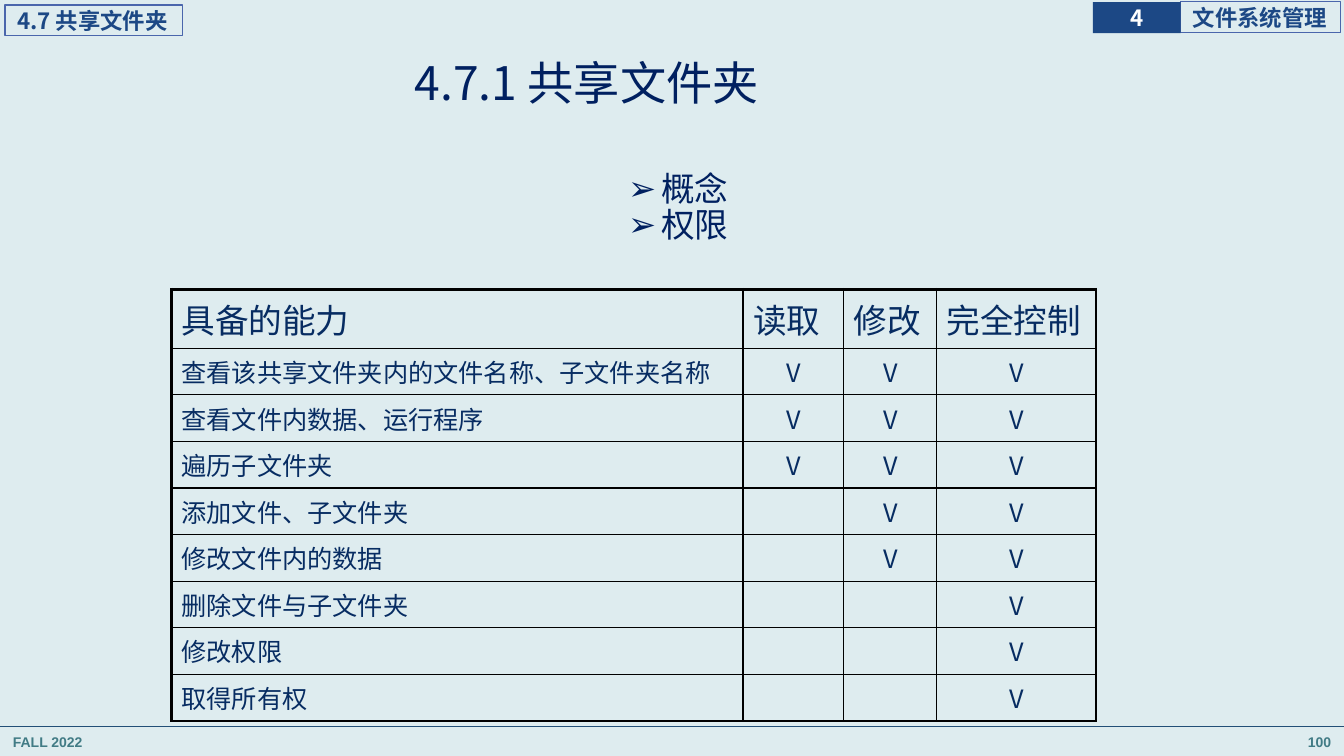
from dataclasses import dataclass

from lxml import etree
from pptx import Presentation
from pptx import util as u
from pptx.dml.color import RGBColor
from pptx.enum import shapes, text
from pptx.oxml.ns import qn


@dataclass(frozen=True)
class Theme:
    """Colours, fonts and type sizes of the slide."""
    backdrop: str = "DEECEF"
    heading: str = "002060"
    cell: str = "072C62"
    tag: str = "1C4885"
    tag_line: str = "4A66AC"
    footer: str = "417B85"
    rule: str = "234F77"
    grid: str = "000000"
    white: str = "FFFFFF"
    cjk: str = "Noto Sans CJK SC"
    latin: str = "Arial"
    title_size: float = 33
    large: float = 24
    body: float = 18
    small: float = 16
    tiny: float = 10


THEME = Theme()
ALIGN = text.PP_ALIGN
ANCHOR = text.MSO_ANCHOR
ABILITIES = [
    ("查看该共享文件夹内的文件名称、子文件夹名称", 3),
    ("查看文件内数据、运行程序", 3),
    ("遍历子文件夹", 3),
    ("添加文件、子文件夹", 2),
    ("修改文件内的数据", 2),
    ("删除文件与子文件夹", 1),
    ("修改权限", 1),
    ("取得所有权", 1),
]


def rgb(value):
    """Turn a hex string into a colour."""
    return RGBColor.from_string(value)


def write(frame, lines, size, color, font=THEME.cjk, bold=False, align=ALIGN.LEFT,
          anchor=ANCHOR.MIDDLE, insets=(0.1, 0.05, 0.1, 0.05), spacing=1.0,
          bullet=None, hanging=0, wrap=True):
    """Fill a text frame with formatted paragraphs."""
    frame.word_wrap = wrap
    frame.auto_size = text.MSO_AUTO_SIZE.NONE
    frame.vertical_anchor = anchor
    (frame.margin_left, frame.margin_top,
     frame.margin_right, frame.margin_bottom) = map(u.Inches, insets)
    for index, line in enumerate(lines):
        para = frame.add_paragraph() if index else frame.paragraphs[0]
        para.alignment = align
        para.line_spacing = spacing
        para.space_before = u.Pt(0)
        if bullet:
            props = para._p.get_or_add_pPr()
            props.set("marL", str(u.Inches(hanging)))
            props.set("indent", str(-u.Inches(hanging)))
            etree.SubElement(props, qn("a:buFont")).set("typeface", THEME.latin)
            etree.SubElement(props, qn("a:buChar")).set("char", bullet)
        span = para.add_run()
        span.text = line
        span.font.size = u.Pt(size)
        span.font.bold = bold
        span.font.color.rgb = rgb(color)
        span.font.name = font
        etree.SubElement(span._r.get_or_add_rPr(), qn("a:ea")).set("typeface", font)


def add_tag(page, box, label, filled=False):
    """Draw a small outlined or filled heading tag."""
    tag = page.shapes.add_shape(shapes.MSO_SHAPE.RECTANGLE, *map(u.Inches, box))
    tag.shadow.inherit = False
    if filled:
        tag.fill.solid()
        tag.fill.fore_color.rgb = rgb(THEME.tag)
        tag.line.fill.background()
    else:
        tag.fill.background()
        tag.line.color.rgb = rgb(THEME.tag_line)
        tag.line.width = u.Pt(0.75)
    write(tag.text_frame, [label], THEME.small, THEME.white if filled else THEME.tag,
          bold=True, align=ALIGN.CENTER if filled else ALIGN.LEFT,
          insets=(0 if filled else 0.12, 0, 0, 0), wrap=False)


def add_header(page, box):
    """Place the section tag at the left and the chapter tags at the right."""
    left, top, width, height = box
    number, chapter = 0.87, 1.59
    right = left + width
    add_tag(page, (left + 0.05, top + 0.05, 1.76, height), "4.7 共享文件夹")
    add_tag(page, (right - chapter, top + 0.02, chapter, height), "文件系统管理")
    add_tag(page, (right - chapter - number, top + 0.02, number, height + 0.01), "4", filled=True)


def add_footer(page, box):
    """Place the rule, the term and the page number."""
    left, top, width, height = box
    rule = page.shapes.add_connector(shapes.MSO_CONNECTOR.STRAIGHT, *map(
        u.Inches, (left, top, left + width, top)))
    rule.line.color.rgb = rgb(THEME.rule)
    rule.line.width = u.Pt(0.5)
    etree.SubElement(rule._element.spPr, qn("a:effectLst"))
    label_width, margin = 2.78, 0.03
    for label, start, align in (
            ("FALL 2022", left + margin, ALIGN.LEFT),
            ("100", left + width - label_width - margin, ALIGN.RIGHT)):
        note = page.shapes.add_textbox(*map(u.Inches, (start, top, label_width, height)))
        write(note.text_frame, [label], THEME.tiny, THEME.footer,
              font=THEME.latin, bold=True, align=align)


def add_title(page, box):
    """Move and format the title placeholder."""
    title = page.shapes.title
    title.left, title.top, title.width, title.height = map(u.Inches, box)
    write(title.text_frame, ["4.7.1 共享文件夹"], THEME.title_size, THEME.heading,
          align=ALIGN.CENTER, spacing=0.9)


def add_topics(page, box):
    """Place the bulleted topics."""
    topics = page.shapes.add_textbox(*map(u.Inches, box))
    write(topics.text_frame, ["概念", "权限"], THEME.large, THEME.heading,
          anchor=ANCHOR.TOP, insets=(0.08, 0.04, 0.08, 0.04), spacing=0.9,
          bullet="➢", hanging=0.33)


def add_border(cell, side, width):
    """Give one side of a cell a solid line."""
    line = etree.SubElement(cell._tc.get_or_add_tcPr(), qn(f"a:ln{side}"), w=str(u.Pt(width)))
    fill = etree.SubElement(line, qn("a:solidFill"))
    etree.SubElement(fill, qn("a:srgbClr"), val=THEME.grid)


def add_permissions(page, box):
    """Build the table of abilities and the permissions that grant them."""
    rows = [["具备的能力", "读取", "修改", "完全控制"]]
    rows += [[ability] + [""] * (3 - grants) + ["V"] * grants for ability, grants in ABILITIES]
    widths = (5.67, 1, 0.92, 1.58)
    last_row, last_column = len(rows) - 1, len(widths) - 1
    table = page.shapes.add_table(len(rows), len(widths), *map(u.Inches, box)).table
    table.first_row = table.horz_banding = False
    for column, width in zip(table.columns, widths):
        column.width = u.Inches(width)
    for r, labels in enumerate(rows):
        table.rows[r].height = u.Inches(0.46 if r else 0.58)
        for c, label in enumerate(labels):
            cell = table.cell(r, c)
            edges = {"L": c == 0, "R": c == last_column, "T": r == 0, "B": r == last_row}
            for side, outer in edges.items():
                add_border(cell, side, 2.25 if outer else 1)
            cell.fill.background()
            if label:
                write(cell.text_frame, [label], THEME.body if r else THEME.large,
                      THEME.cell, align=ALIGN.CENTER if r and c else ALIGN.LEFT,
                      anchor=ANCHOR.TOP)


def main():
    """Build and save the slide."""
    deck = Presentation()
    deck.slide_width, deck.slide_height = u.Inches(13.33), u.Inches(7.5)
    page = deck.slides.add_slide(deck.slide_layouts[5])
    page.background.fill.solid()
    page.background.fill.fore_color.rgb = rgb(THEME.backdrop)
    add_footer(page, (0, 7.21, 13.33, 0.31))
    add_header(page, (0, 0, 13.3, 0.3))
    add_title(page, (0.07, 0.5, 11.5, 0.7))
    add_topics(page, (6.15, 1.67, 1.3, 0.85))
    add_permissions(page, (1.7, 2.87, 9.17, 4.26))
    deck.save("out.pptx")


if __name__ == "__main__":
    main()
